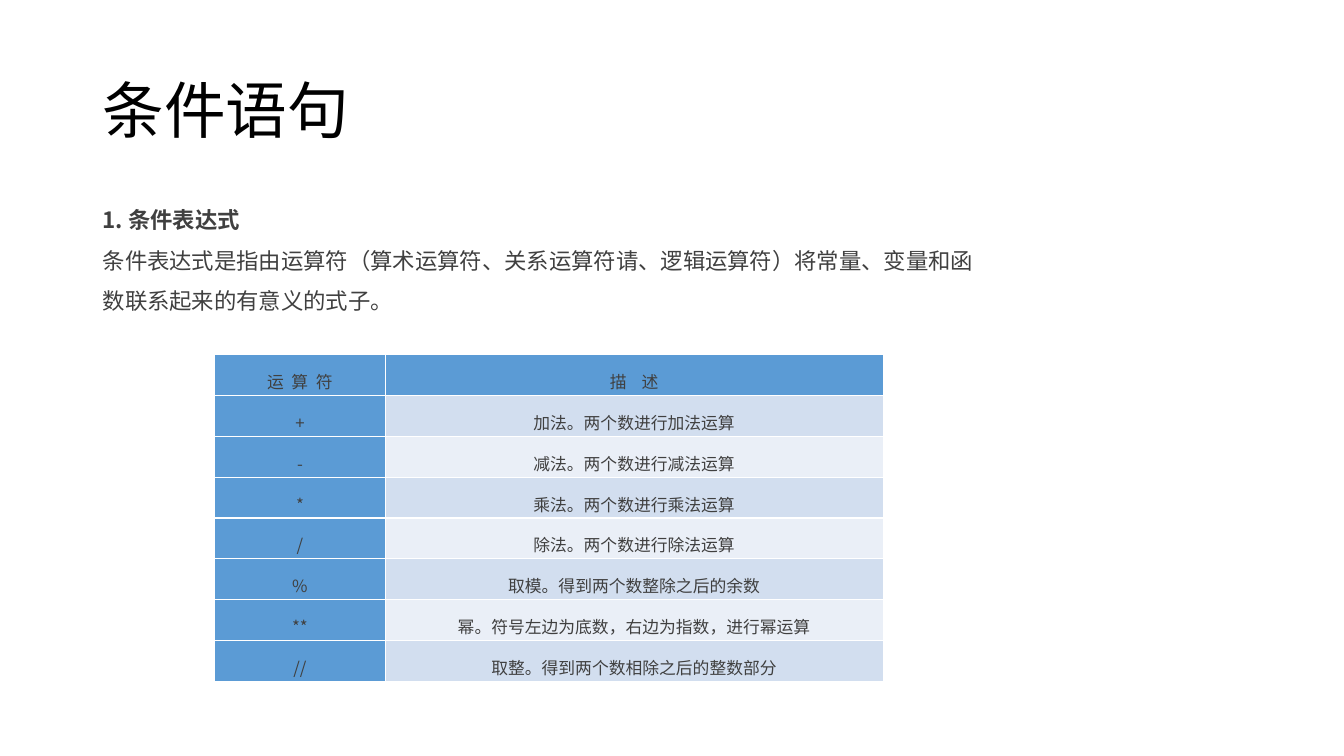
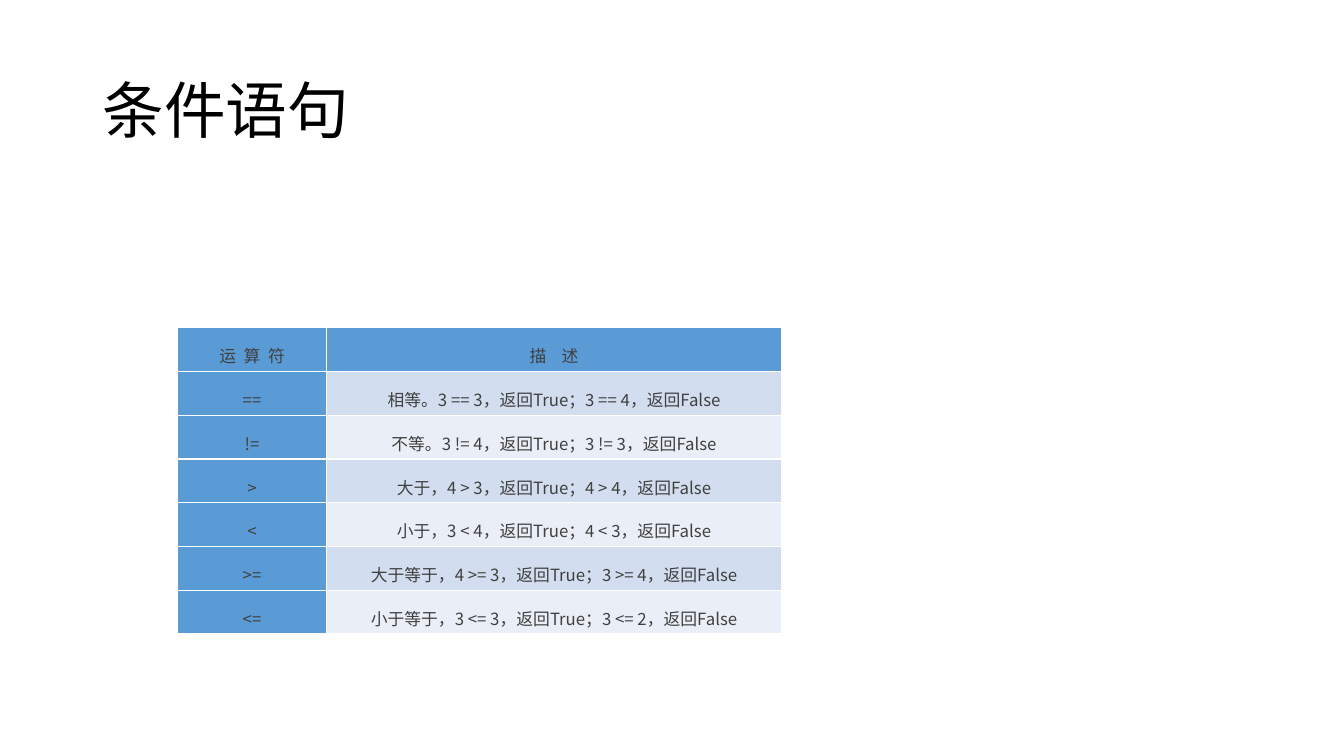
import pptx
import pptx.util
import pptx.dml.color
import pptx.enum.text
import pptx.oxml.ns
import lxml.etree

PX = 9144
SANS = "Noto Sans CJK SC"
ALIGN = pptx.enum.text.PP_ALIGN
MIDDLE = pptx.enum.text.MSO_ANCHOR.MIDDLE


def px(n):
    return pptx.util.Emu(round(n * PX))


def color(code):
    return pptx.dml.color.RGBColor.from_string(code)


def add_tag(parent, tag, **attrs):
    return lxml.etree.SubElement(parent, pptx.oxml.ns.qn(tag), attrs)


def write(para, text, size=12, font=SANS, ink="404040", bold=False,
          align=ALIGN.LEFT, lines=1.0, gap=0):
    para.alignment = align
    para.line_spacing = lines
    parts = [(text[:-1], gap), (text[-1], 0)] if gap else [(text, 0)]
    for part, space in parts:
        run = para.add_run()
        run.text = part
        run.font.size = pptx.util.Pt(size)
        run.font.name = font
        run.font.bold = bold
        run.font.color.rgb = color(ink)
        props = run._r.get_or_add_rPr()
        add_tag(props, "a:ea", typeface=SANS)
        if space:
            props.set("spc", str(space))


class Deck:
    blue = "5B9BD5"
    bands = ("D2DEEF", "EAEFF7")
    white = "FFFFFF"
    heads = (("运算符", 540), ("描述", 1080))

    def __init__(self, width, height):
        self.file = pptx.Presentation()
        self.file.slide_width = px(width)
        self.file.slide_height = px(height)
        self.slide = None

    def page(self, title):
        self.slide = self.file.slides.add_slide(self.file.slide_layouts[6])
        frame = self.box(92, 40, 1150, 145)
        frame.vertical_anchor = MIDDLE
        write(frame.paragraphs[0], title, size=44, font="Calibri",
              ink="000000", lines=0.9)

    def box(self, left, top, width, height):
        shape = self.slide.shapes.add_textbox(
            px(left), px(top), px(width), px(height))
        shape.text_frame.word_wrap = True
        return shape.text_frame

    def prose(self, left, top, width, height, head, body):
        frame = self.box(left, top, width, height)
        write(frame.paragraphs[0], head, size=16, bold=True)
        write(frame.add_paragraph(), body, size=16, lines=1.5)

    def edge(self, cell):
        props = cell._tc.get_or_add_tcPr()
        for side in ("a:lnL", "a:lnR", "a:lnT", "a:lnB"):
            line = add_tag(props, side, w="12700")
            fill = add_tag(line, "a:solidFill")
            add_tag(fill, "a:srgbClr", val=self.white)

    def cell(self, cell, text, fill, gap=0):
        self.edge(cell)
        cell.fill.solid()
        cell.fill.fore_color.rgb = color(fill)
        cell.vertical_anchor = MIDDLE
        cell.margin_left = cell.margin_right = px(7)
        cell.margin_top = cell.margin_bottom = 0
        write(cell.text_frame.paragraphs[0], text, align=ALIGN.CENTER,
              lines=1.5, gap=gap)

    def table(self, left, top, widths, height, rows):
        count = len(rows) + 1
        grid = self.slide.shapes.add_table(
            count, len(widths), px(left), px(top),
            px(sum(widths)), px(height)).table
        for col, width in zip(grid.columns, widths):
            col.width = px(width)
        for row in grid.rows:
            row.height = px(height / count)
        for c, (text, gap) in enumerate(self.heads):
            self.cell(grid.cell(0, c), text, self.blue, gap)
        for r, (sign, note) in enumerate(rows, 1):
            self.cell(grid.cell(r, 0), sign, self.blue)
            self.cell(grid.cell(r, 1), note, self.bands[(r - 1) % 2])


MATH = [
    ("+", "加法。两个数进行加法运算"),
    ("-", "减法。两个数进行减法运算"),
    ("*", "乘法。两个数进行乘法运算"),
    ("/", "除法。两个数进行除法运算"),
    ("%", "取模。得到两个数整除之后的余数"),
    ("**", "幂。符号左边为底数，右边为指数，进行幂运算"),
    ("//", "取整。得到两个数相除之后的整数部分"),
]

TESTS = [
    ("==", "相等。3 == 3，返回True；3 == 4，返回False"),
    ("!=", "不等。3 != 4，返回True；3 != 3，返回False"),
    (">", "大于，4 > 3，返回True；4 > 4，返回False"),
    ("<", "小于，3 < 4，返回True；4 < 3，返回False"),
    (">=", "大于等于，4 >= 3，返回True；3 >= 4，返回False"),
    ("<=", "小于等于，3 <= 3，返回True；3 <= 2，返回False"),
]


def main():
    deck = Deck(1333, 750)
    title = "条件语句"
    deck.page(title)
    deck.prose(92, 200, 885, 118, "1. 条件表达式",
               "条件表达式是指由运算符（算术运算符、关系运算符请、逻辑运算符）"
               "将常量、变量和函数联系起来的有意义的式子。")
    deck.table(213, 352, (169, 494), 324, MATH)
    deck.page(title)
    deck.table(176, 325, (148, 451), 304, TESTS)
    deck.file.save("out.pptx")


if __name__ == "__main__":
    main()
